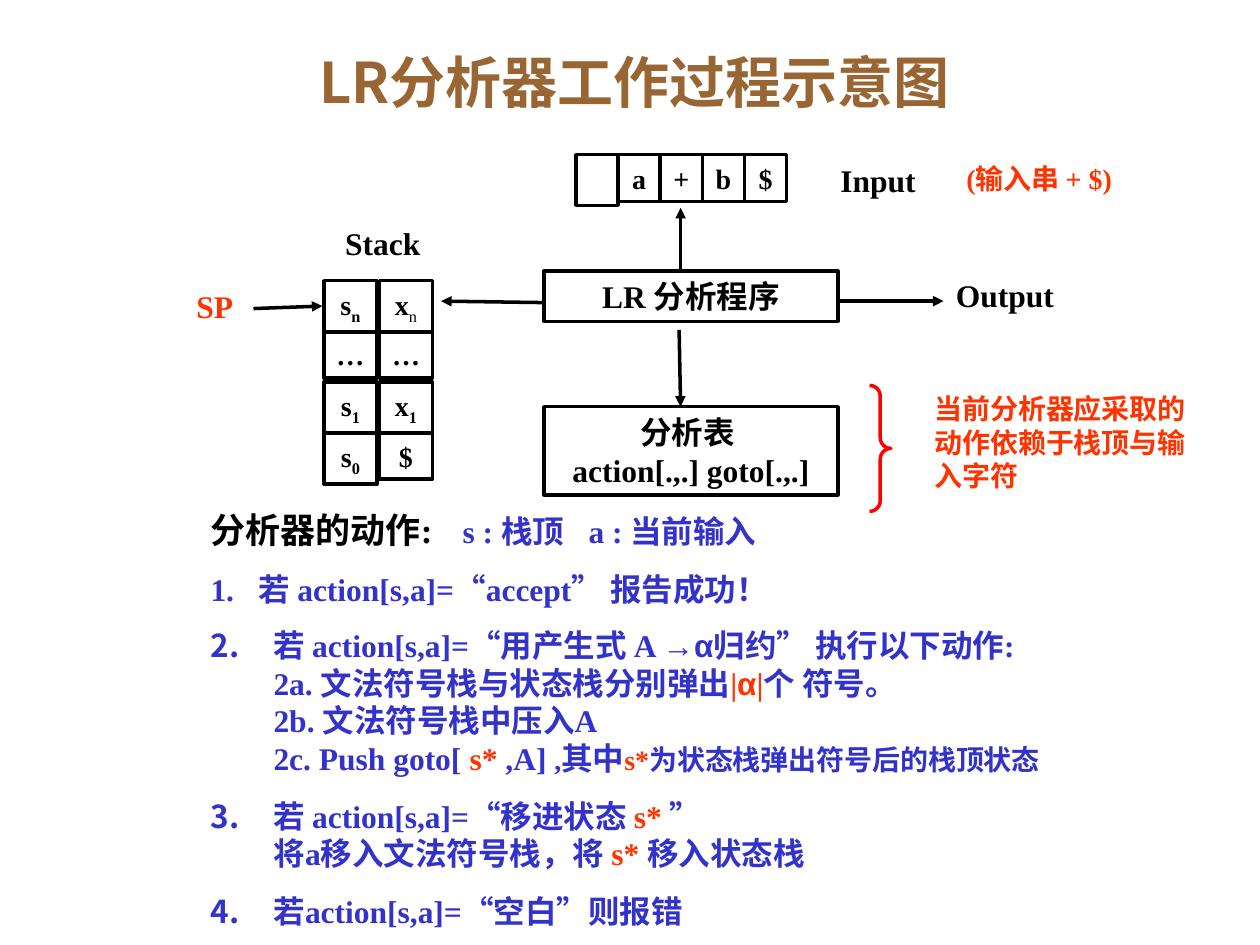
import pptx
import pptx.util
import pptx.dml.color
import pptx.enum.shapes
import pptx.enum.text
import pptx.oxml.ns
from lxml import etree

Cm = pptx.util.Cm
Pt = pptx.util.Pt
RGB = pptx.dml.color.RGBColor
qn = pptx.oxml.ns.qn
SHAPE = pptx.enum.shapes.MSO_SHAPE
ALIGN = pptx.enum.text.PP_ALIGN
ANCHOR = pptx.enum.text.MSO_ANCHOR
SIZE = pptx.enum.text.MSO_AUTO_SIZE

hues = {"ink": "000000", "blue": "3333CC", "hot": "FF3300",
        "brace": "FF0000", "title": "996633"}
serif, sans, cjk = "Times New Roman", "Arial", "Noto Sans CJK SC"


def write(para, runs):
    for text, hue, size, face, *sub in runs:
        if text == "\n":
            para.add_line_break()
            etree.SubElement(para._p[-1], qn("a:rPr"), sz=str(size * 100))
            continue
        run = para.add_run()
        run.text = text
        run.font.size = Pt(size)
        run.font.name = face
        run.font.bold = "thin" not in sub
        run.font.color.rgb = RGB.from_string(hues[hue])
        if sub:
            run.font._element.set("baseline", "-25000")


def put(x, y, w, h, runs, boxed=True):
    spot = Cm(x), Cm(y), Cm(w), Cm(h)
    if boxed:
        item = slide.shapes.add_shape(SHAPE.RECTANGLE, *spot)
        item.shadow.inherit = False
        item.fill.background()
        item.line.color.rgb = RGB.from_string(hues["ink"])
        item.line.width = Pt(2)
    else:
        item = slide.shapes.add_textbox(*spot)
    frame = item.text_frame
    frame.word_wrap = not boxed
    frame.vertical_anchor = ANCHOR.MIDDLE
    para = frame.paragraphs[0]
    para.alignment = ALIGN.CENTER if boxed else ALIGN.LEFT
    write(para, runs)


deck = pptx.Presentation()
deck.slide_width, deck.slide_height = Cm(25.4), Cm(19.05)
slide = deck.slides.add_slide(deck.slide_layouts[1])

title = slide.shapes.title
title.left, title.top, title.width, title.height = Cm(1.9), Cm(0.91), Cm(21.79), Cm(1.47)
title.text_frame.auto_size = SIZE.NONE
title.text_frame.vertical_anchor = ANCHOR.MIDDLE
head = title.text_frame.paragraphs[0]
head.alignment = ALIGN.CENTER
write(head, [("LR分析器工作过程示意图", "title", 32, cjk)])

for i, sign in enumerate(["", "a", "+", "b", "$"]):
    runs = [(sign, "ink", 16, serif)] if sign else []
    put(11.61 + 0.85 * i, 3.12, 0.85, 0.94 if sign else 1.02, runs)

stack = [
    [("s", "n"), ("…",), ("s", "1"), ("s", "0")],
    [("x", "n", "thin"), ("…",), ("x", "1"), ("$",)],
]
for col, cells in enumerate(stack):
    for row, (base, *sub) in enumerate(cells):
        runs = [(base, "ink", 16, serif)]
        if sub:
            runs.append((sub[0], "ink", 16, serif, "sub", *sub[1:]))
        put(6.53 + 1.12 * col, 5.66 + 1.02 * row, 1.07, 1.04 if sub else 0.94, runs)

put(10.97, 5.46, 5.92, 1.02, [("LR 分析程序", "ink", 18, serif)])
put(10.97, 8.2, 5.92, 1.78, [
    ("分析表 ", "ink", 18, serif), ("\n", "ink", 18, serif),
    ("action[.,.] goto[.,.]", "ink", 18, serif)])

labels = [
    (16.69, 3.12, 2.34, 1.02, "Input", "ink", 18),
    (6.71, 4.39, 2.34, 1.02, "Stack", "ink", 18),
    (19.02, 5.44, 3.18, 1.02, "Output", "ink", 18),
    (3.71, 5.66, 1.37, 1.02, "SP", "hot", 18),
    (19.23, 3.12, 5.72, 0.94, "(输入串 + $)", "hot", 16),
    (18.59, 7.77, 5.92, 2.29, "当前分析器应采取的动作依赖于栈顶与输入字符", "hot", 16),
]
for x, y, w, h, text, hue, size in labels:
    put(x, y, w, h, [(text, hue, size, serif)], boxed=False)

arrows = [
    (13.72, 5.46, 13.72, 4.19),
    (10.97, 6.1, 8.89, 6.07),
    (13.69, 6.65, 13.72, 8.2),
    (16.89, 6.07, 19.02, 6.07),
    (5.11, 6.22, 6.5, 6.17),
]
for ends in arrows:
    arrow = slide.shapes.add_connector(
        pptx.enum.shapes.MSO_CONNECTOR.STRAIGHT, *[Cm(end) for end in ends])
    arrow.line.color.rgb = RGB.from_string(hues["ink"])
    arrow.line.width = Pt(2)
    etree.SubElement(arrow.line._get_or_add_ln(), qn("a:tailEnd"), type="triangle")
    etree.SubElement(arrow._element.spPr, qn("a:effectLst"))

brace = slide.shapes.add_shape(SHAPE.RIGHT_BRACE, Cm(17.53), Cm(7.77), Cm(0.43), Cm(2.54))
brace.adjustments[0] = 0.5
brace.shadow.inherit = False
brace.fill.background()
brace.line.color.rgb = RGB.from_string(hues["brace"])
brace.line.width = Pt(2)

body = slide.placeholders[1]
body.left, body.top, body.width, body.height = Cm(3.99), Cm(10.13), Cm(20.12), Cm(8.74)
frame = body.text_frame
frame.auto_size = SIZE.NONE
frame.vertical_anchor = ANCHOR.TOP
gap = ("\n", "blue", 18, serif)
star = ("s*", "hot", 18, serif)
steps = [
    (0, 0, [("分析器的动作:", "ink", 20, serif),
            ("\ts : 栈顶\ta : 当前输入", "blue", 18, serif)]),
    (0.97, 11.2, [("1.\t若 action[s,a]=“accept” 报告成功！", "blue", 18, serif)]),
    (1.27, 10, [
        ("若 action[s,a]=“用产生式 A ", "blue", 18, serif),
        ("→α", "blue", 18, sans),
        ("归约” 执行以下动作:", "blue", 18, serif), gap,
        ("2a. 文法符号栈与状态栈分别弹出", "blue", 18, serif),
        ("|", "hot", 18, serif), ("α", "hot", 18, sans), ("|", "hot", 18, serif),
        ("个 符号。", "blue", 18, serif), gap,
        ("2b. 文法符号栈中压入A", "blue", 18, serif), gap,
        ("2c. Push goto[ ", "blue", 18, serif), star,
        (" ,A] ", "blue", 18, serif), (",", "blue", 16, serif),
        ("其中", "blue", 18, serif), ("s*", "hot", 16, serif),
        ("为状态栈弹出符号后的栈顶状态", "blue", 16, serif)]),
    (1.27, 11.2, [
        ("若 action[s,a]=“移进状态 ", "blue", 18, serif), star,
        (" ”", "blue", 18, serif), gap,
        ("将a移入文法符号栈，将 ", "blue", 18, serif), star,
        (" 移入状态栈", "blue", 18, serif)]),
    (1.27, 11.2, [("若action[s,a]=“空白”则报错", "blue", 18, serif)]),
]
for i, (hang, space, runs) in enumerate(steps):
    para = frame.add_paragraph() if i else frame.paragraphs[0]
    para.space_before = Pt(space)
    props = para._p.get_or_add_pPr()
    props.set("marL", str(Cm(hang)))
    props.set("indent", str(-Cm(hang)))
    if i < 2:
        etree.SubElement(props, qn("a:buNone"))
    else:
        tint = etree.SubElement(props, qn("a:buClr"))
        etree.SubElement(tint, qn("a:srgbClr"), val=hues["blue"])
        etree.SubElement(props, qn("a:buFont"), typeface=cjk)
        etree.SubElement(props, qn("a:buAutoNum"), type="arabicPeriod", startAt="2")
    if i == 0:
        tabs = etree.SubElement(props, qn("a:tabLst"))
        for stop in (5.36, 8.84):
            etree.SubElement(tabs, qn("a:tab"), pos=str(Cm(stop)), algn="l")
    write(para, runs)

deck.save("out.pptx")
